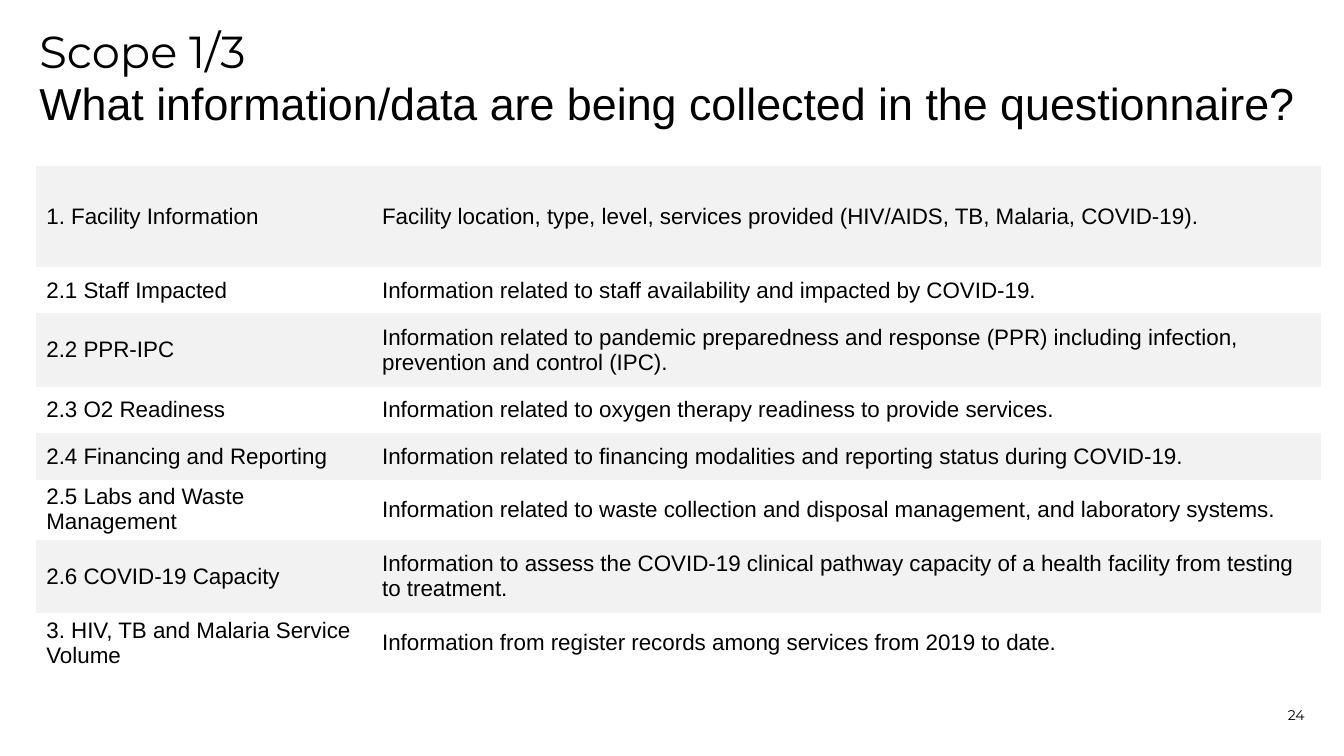
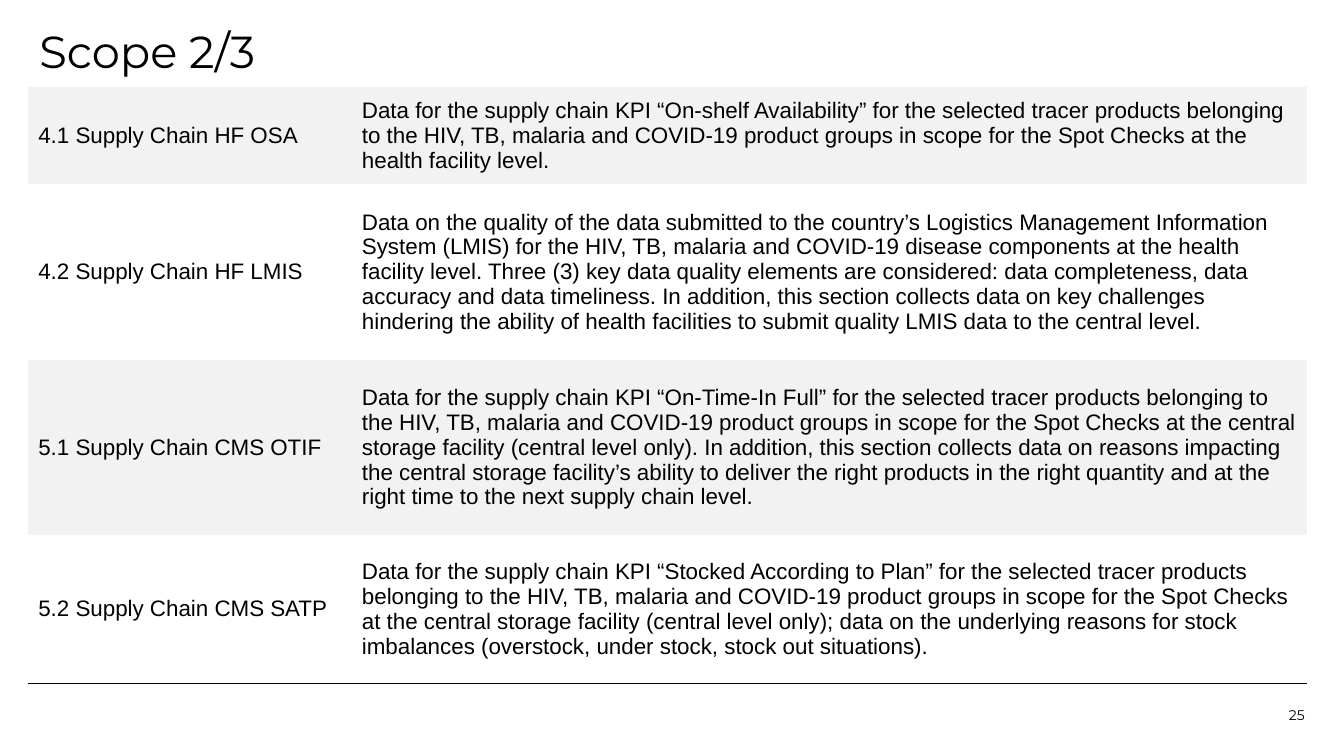
from lxml import etree
from pptx import Presentation
from pptx.dml.color import RGBColor
from pptx.enum.text import MSO_ANCHOR, MSO_AUTO_SIZE, PP_ALIGN
from pptx.oxml.ns import qn
from pptx.util import Inches, Pt

BLACK = RGBColor(0x00, 0x00, 0x00)
BAND = RGBColor(0xF2, 0xF2, 0xF2)
HEAD_FONT, BODY_FONT = "Montserrat", "Arial"
TOP, MIDDLE, BOTTOM = MSO_ANCHOR.TOP, MSO_ANCHOR.MIDDLE, MSO_ANCHOR.BOTTOM
LEFT, RIGHT = PP_ALIGN.LEFT, PP_ALIGN.RIGHT
NO_FIT = MSO_AUTO_SIZE.NONE
TITLE_AND_BODY, TITLE_ONLY = 1, 5
NO_STYLE_NO_GRID = "{2D5ABB26-0587-4C30-8999-92F81FD0307C}"

QUESTIONNAIRE_ROWS = [
    ("1. Facility Information",
     "Facility location, type, level, services provided (HIV/AIDS, TB, Malaria, COVID-19)."),
    ("2.1 Staff Impacted",
     "Information related to staff availability and impacted by COVID-19."),
    ("2.2 PPR-IPC",
     "Information related to pandemic preparedness and response (PPR) including infection, "
     "prevention and control (IPC)."),
    ("2.3 O2 Readiness",
     "Information related to oxygen therapy readiness to provide services."),
    ("2.4 Financing and Reporting",
     "Information related to financing modalities and reporting status during COVID-19."),
    ("2.5 Labs and Waste Management",
     "Information related to waste collection and disposal management, and laboratory systems."),
    ("2.6 COVID-19 Capacity",
     "Information to assess the COVID-19 clinical pathway capacity of a health facility "
     "from testing to treatment."),
    ("3. HIV, TB and Malaria Service Volume",
     "Information from register records among services from 2019 to date."),
]
SUPPLY_CHAIN_ROWS = [
    ("4.1 Supply Chain HF OSA",
     "Data for the supply chain KPI “On-shelf Availability” for the selected tracer "
     "products belonging to the HIV, TB, malaria and COVID-19 product groups in scope "
     "for the Spot Checks at the health facility level."),
    ("4.2 Supply Chain HF LMIS",
     "Data on the quality of the data submitted to the country’s Logistics Management "
     "Information System (LMIS) for the HIV, TB, malaria and COVID-19 disease components "
     "at the health facility level. Three (3) key data quality elements are considered: "
     "data completeness, data accuracy and data timeliness. In addition, this section "
     "collects data on key challenges hindering the ability of health facilities to "
     "submit quality LMIS data to the central level."),
    ("5.1 Supply Chain CMS OTIF",
     "Data for the supply chain KPI “On-Time-In Full” for the selected tracer products "
     "belonging to the HIV, TB, malaria and COVID-19 product groups in scope for the Spot "
     "Checks at the central storage facility (central level only). In addition, this "
     "section collects data on reasons impacting the central storage facility’s ability "
     "to deliver the right products in the right quantity and at the right time to the "
     "next supply chain level."),
    ("5.2 Supply Chain CMS SATP",
     "Data for the supply chain KPI “Stocked According to Plan” for the selected tracer "
     "products belonging to the HIV, TB, malaria and COVID-19 product groups in scope for "
     "the Spot Checks at the central storage facility (central level only); data on the "
     "underlying reasons for stock imbalances (overstock, under stock, stock out "
     "situations)."),
]


def write(tf, text, size=16, font=BODY_FONT, color=BLACK, align=LEFT, spacing=1.0):
    """Put one formatted paragraph into a text frame."""
    p = tf.paragraphs[0]
    p.alignment, p.line_spacing, p.space_before = align, spacing, Pt(0)
    r = p.add_run()
    r.text = text
    r.font.size, r.font.name = Pt(size), font
    r.font.color.rgb = color
    return p


class Deck:
    """Hold the presentation style and the current slide."""

    def __init__(self):
        """Start an empty widescreen presentation."""
        self.prs = Presentation()
        self.prs.slide_width, self.prs.slide_height = Inches(13.33), Inches(7.5)
        self.s = None

    def frame(self, sp, left, top, width, height, anchor=TOP):
        """Place a shape and return its text frame without margins."""
        sp.left, sp.top = Inches(left), Inches(top)
        sp.width, sp.height = Inches(width), Inches(height)
        tf = sp.text_frame
        tf.auto_size, tf.word_wrap, tf.vertical_anchor = NO_FIT, True, anchor
        tf.margin_left = tf.margin_top = tf.margin_right = tf.margin_bottom = 0
        return tf

    def slide(self, title, number, layout=TITLE_ONLY):
        """Add a slide with its title and page number."""
        self.s = self.prs.slides.add_slide(self.prs.slide_layouts[layout])
        tf = self.frame(self.s.shapes.title, 0.39, 0.3, 12.55, 0.51)
        write(tf, title, size=32, font=HEAD_FONT, spacing=0.9)
        sp = self.s.shapes.add_textbox(0, 0, 0, 0)
        tf = self.frame(sp, 11.96, 6.78, 0.98, 0.4, anchor=BOTTOM)
        write(tf, str(number), size=10, font=HEAD_FONT, align=RIGHT)

    def subtitle(self, text):
        """Fill the body placeholder with an unbulleted line."""
        tf = self.frame(self.s.placeholders[1], 0.39, 0.81, 12.55, 0.51)
        pPr = tf.paragraphs[0]._p.get_or_add_pPr()
        pPr.set("marL", "0")
        pPr.set("indent", "0")
        etree.SubElement(pPr, qn("a:buNone"))
        write(tf, text, size=32, spacing=0.9)

    def table(self, rows, left, top, widths, heights, roomy=False, rule=False):
        """Add a banded table, optionally with wide margins or a bottom rule."""
        frame = self.s.shapes.add_table(
            len(rows), len(widths), Inches(left), Inches(top),
            Inches(sum(widths)), Inches(sum(heights)))
        table = frame.table
        table.first_row = table.horz_banding = False
        for style in frame.element.iter(qn("a:tableStyleId")):
            style.text = NO_STYLE_NO_GRID
        for column, width in zip(table.columns, widths):
            column.width = Inches(width)
        for i, (row, height) in enumerate(zip(rows, heights)):
            table.rows[i].height = Inches(height)
            for j, text in enumerate(row):
                cell = table.cell(i, j)
                self.cell(cell, text, banded=i % 2 == 0, roomy=roomy and j == 1)
                if rule and i == len(rows) - 1:
                    self.bottom_rule(cell)

    def cell(self, cell, text, banded, roomy):
        """Fill and write one table cell."""
        cell.vertical_anchor = MIDDLE
        if roomy:
            cell.margin_left = Inches(0.2)
            cell.margin_top = cell.margin_right = cell.margin_bottom = Inches(0.1)
        if banded:
            cell.fill.solid()
            cell.fill.fore_color.rgb = BAND
        else:
            cell.fill.background()
        write(cell.text_frame, text)

    def bottom_rule(self, cell):
        """Draw a thin line under a table cell."""
        ln = etree.Element(qn("a:lnB"), w=str(Pt(1)))
        fill = etree.SubElement(ln, qn("a:solidFill"))
        etree.SubElement(fill, qn("a:srgbClr"), val=str(BLACK))
        cell._tc.get_or_add_tcPr().insert(0, ln)


def main():
    """Build and save the two scope slides."""
    deck = Deck()

    deck.slide("Scope 1/3", 24, layout=TITLE_AND_BODY)
    deck.subtitle("What information/data are being collected in the questionnaire?")
    deck.table(QUESTIONNAIRE_ROWS, 0.36, 1.65, [3.23, 9.51],
               [1, 0.46, 0.73, 0.46, 0.46, 0.46, 0.73, 0.46], roomy=True)

    deck.slide("Scope 2/3", 25)
    deck.table(SUPPLY_CHAIN_ROWS, 0.28, 0.86, [3.21, 9.47],
               [0.97, 1.74, 1.74, 1.47], rule=True)

    deck.prs.save("out.pptx")


if __name__ == "__main__":
    main()
